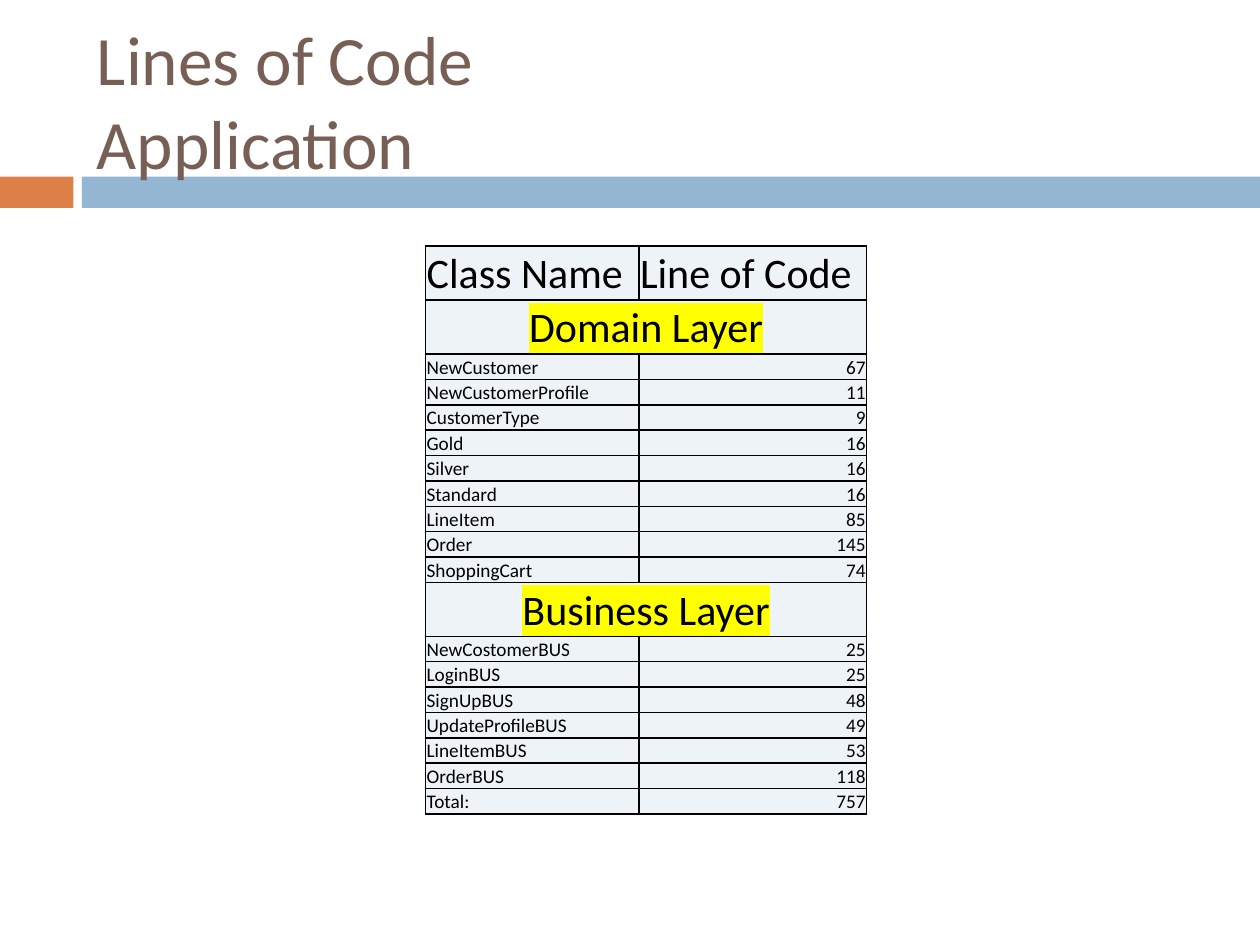
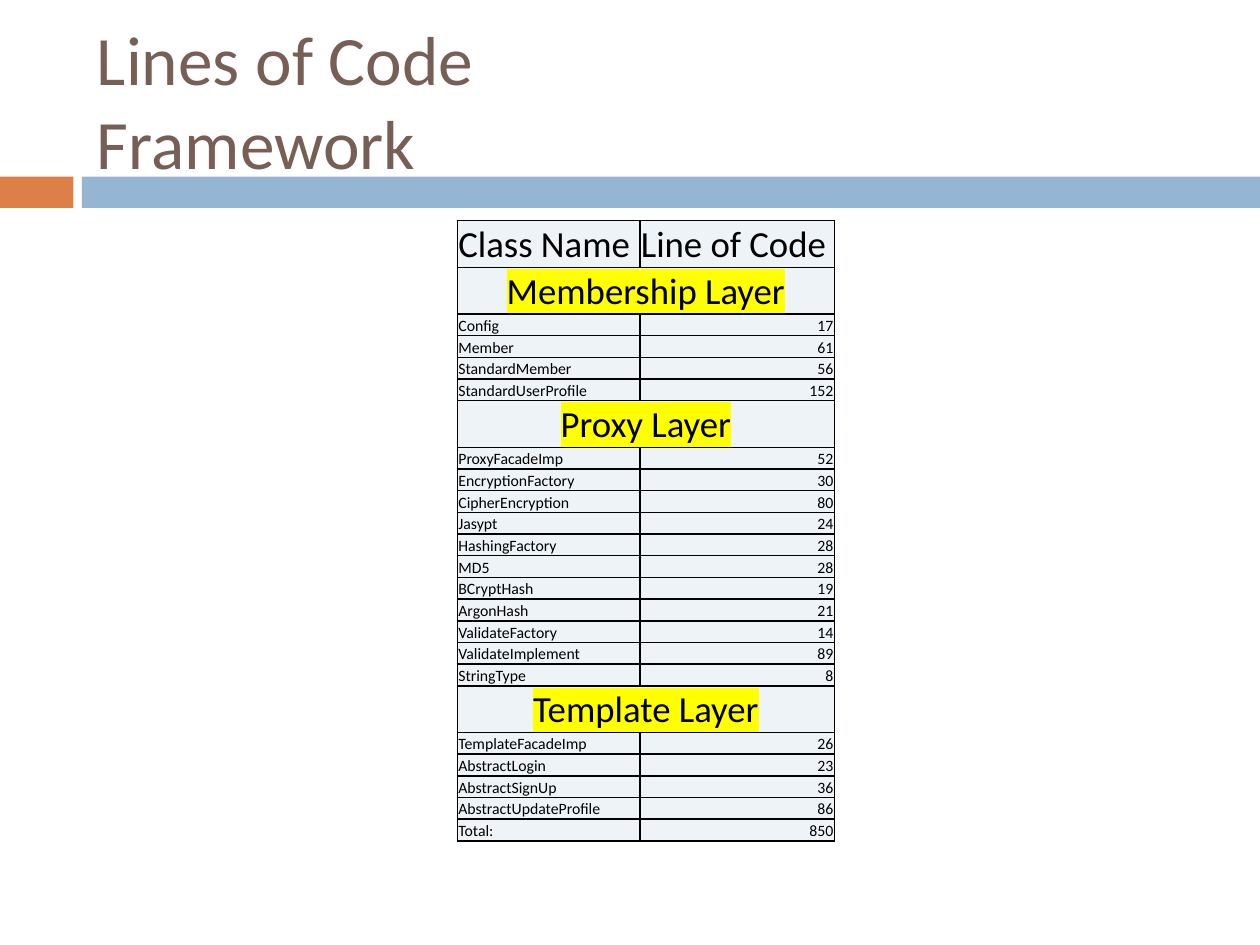
from lxml.etree import SubElement as Sub
from pptx import Presentation
from pptx.dml.color import RGBColor
from pptx.enum.shapes import MSO_SHAPE as Shape
from pptx.enum.text import MSO_ANCHOR as Anchor, MSO_AUTO_SIZE as Fit, PP_ALIGN as Align
from pptx.oxml.ns import qn
from pptx.util import Cm, Pt

FONT = "Calibri"
BROWN, ORANGE, BLUE = "775F55", "DD8047", "94B6D2"
PALE, BLACK, YELLOW = "EEF3F7", "000000", "FFFF00"
SHARE = 0.484

APP = {
    "Domain Layer": [
        ("NewCustomer", 67), ("NewCustomerProfile", 11), ("CustomerType", 9),
        ("Gold", 16), ("Silver", 16), ("Standard", 16), ("LineItem", 85),
        ("Order", 145), ("ShoppingCart", 74)],
    "Business Layer": [
        ("NewCostomerBUS", 25), ("LoginBUS", 25), ("SignUpBUS", 48),
        ("UpdateProfileBUS", 49), ("LineItemBUS", 53), ("OrderBUS", 118)],
}
FRAME = {
    "Membership Layer": [
        ("Config", 17), ("Member", 61), ("StandardMember", 56),
        ("StandardUserProfile", 152)],
    "Proxy Layer": [
        ("ProxyFacadeImp", 52), ("EncryptionFactory", 30),
        ("CipherEncryption", 80), ("Jasypt", 24), ("HashingFactory", 28),
        ("MD5", 28), ("BCryptHash", 19), ("ArgonHash", 21),
        ("ValidateFactory", 14), ("ValidateImplement", 89), ("StringType", 8)],
    "Template Layer": [
        ("TemplateFacadeImp", 26), ("AbstractLogin", 23),
        ("AbstractSignUp", 36), ("AbstractUpdateProfile", 86)],
}


def paint(fill, color):
    """Give a fill one solid hex colour."""
    fill.solid()
    fill.fore_color.rgb = RGBColor.from_string(color)


def style(para, size, color, align):
    """Set the font and alignment of a paragraph."""
    para.alignment = align
    para.font.name = FONT
    para.font.size = Pt(size)
    paint(para.font.fill, color)


def add_bands(layout, slide, box):
    """Put the two colour bands on the layout in place of its footers."""
    for holder in list(layout.placeholders):
        if holder.placeholder_format.idx:
            layout.shapes.element.remove(holder.element)
    left, top, width, height = box
    tab, gap = 1.48, 0.17
    parts = [(left, tab, ORANGE), (left + tab + gap, width - tab - gap, BLUE)]
    for spot, (x, wide, color) in enumerate(parts, 2):
        band = slide.shapes.add_shape(
            Shape.RECTANGLE, Cm(x), Cm(top), Cm(wide), Cm(height))
        band.shadow.inherit = False
        paint(band.fill, color)
        band.line.fill.background()
        layout.shapes.element.insert(spot, band.element)


def add_title(slide, box, lines):
    """Fill the title placeholder with lines of text."""
    title = slide.shapes.title
    title.left, title.top, title.width, title.height = map(Cm, box)
    frame = title.text_frame
    frame.auto_size = Fit.NONE
    frame.vertical_anchor = Anchor.MIDDLE
    para = frame.paragraphs[0]
    style(para, 39.6, BROWN, Align.LEFT)
    for i, line in enumerate(lines):
        if i:
            para.add_line_break()
        para.add_run().text = line


def dress(cell):
    """Set the margins, borders and fill of a table cell."""
    cell.margin_left = cell.margin_right = cell.margin_top = Cm(0.02)
    cell.margin_bottom = 0
    cell.vertical_anchor = Anchor.BOTTOM
    props = cell._tc.get_or_add_tcPr()
    for side in ("lnL", "lnR", "lnT", "lnB"):
        edge = Sub(props, qn(f"a:{side}"), w=str(Pt(1)))
        Sub(Sub(edge, qn("a:solidFill")), qn("a:srgbClr"), val=BLACK)
    paint(cell.fill, PALE)


def write(cell, text, size, align, mark=None):
    """Write text in a cell, highlighted if a mark colour is given."""
    para = cell.text_frame.paragraphs[0]
    style(para, size, BLACK, align)
    run = para.add_run()
    run.text = text
    if mark:
        Sub(Sub(run._r.get_or_add_rPr(), qn("a:highlight")),
            qn("a:srgbClr"), val=mark)


def add_counts(slide, box, layers, tall, big, small):
    """Add the table of line counts, grouped by layer, with its total."""
    rows = [("Class Name", "Line of Code")]
    for name, items in layers.items():
        rows += [(name, None), *items]
    total = sum(count for items in layers.values() for _, count in items)
    rows.append(("Total:", total))
    heads = 1 + len(layers)
    left, top, width, height = box
    low = (height - heads * tall) / (len(rows) - heads)

    table = slide.shapes.add_table(len(rows), 2, *map(Cm, box)).table
    table.first_row = table.horz_banding = False
    for col, part in zip(table.columns, (SHARE, 1 - SHARE)):
        col.width = Cm(width * part)
    for i, (name, count) in enumerate(rows):
        first, last = table.cell(i, 0), table.cell(i, 1)
        table.rows[i].height = Cm(low if isinstance(count, int) else tall)
        dress(first)
        dress(last)
        if count is None:
            first.merge(last)
            write(first, name, big, Align.CENTER, YELLOW)
        elif i == 0:
            write(first, name, big, Align.LEFT)
            write(last, count, big, Align.LEFT)
        else:
            write(first, name, small, Align.LEFT)
            write(last, str(count), small, Align.RIGHT)


def add_page(deck, layout, topic, *counts):
    """Add a slide with a title and a table of line counts."""
    slide = deck.slides.add_slide(layout)
    add_title(slide, (1.7, 0.64, 22.66, 2.74), ("Lines of Code", topic))
    add_counts(slide, *counts)
    return slide


def main():
    """Build and save the deck."""
    deck = Presentation()
    deck.slide_width, deck.slide_height = Cm(25.4), Cm(19.05)
    layout = deck.slide_layouts[5]
    page = add_page(deck, layout, "Application",
                    (8.58, 4.96, 8.89, 11.46), APP, 1.09, 24, 11)
    add_bands(layout, page, (0, 3.56, 25.4, 0.63))
    add_page(deck, layout, "Framework",
             (9.22, 4.45, 7.6, 12.5), FRAME, 0.94, 21, 9)
    deck.save("out.pptx")


if __name__ == "__main__":
    main()
